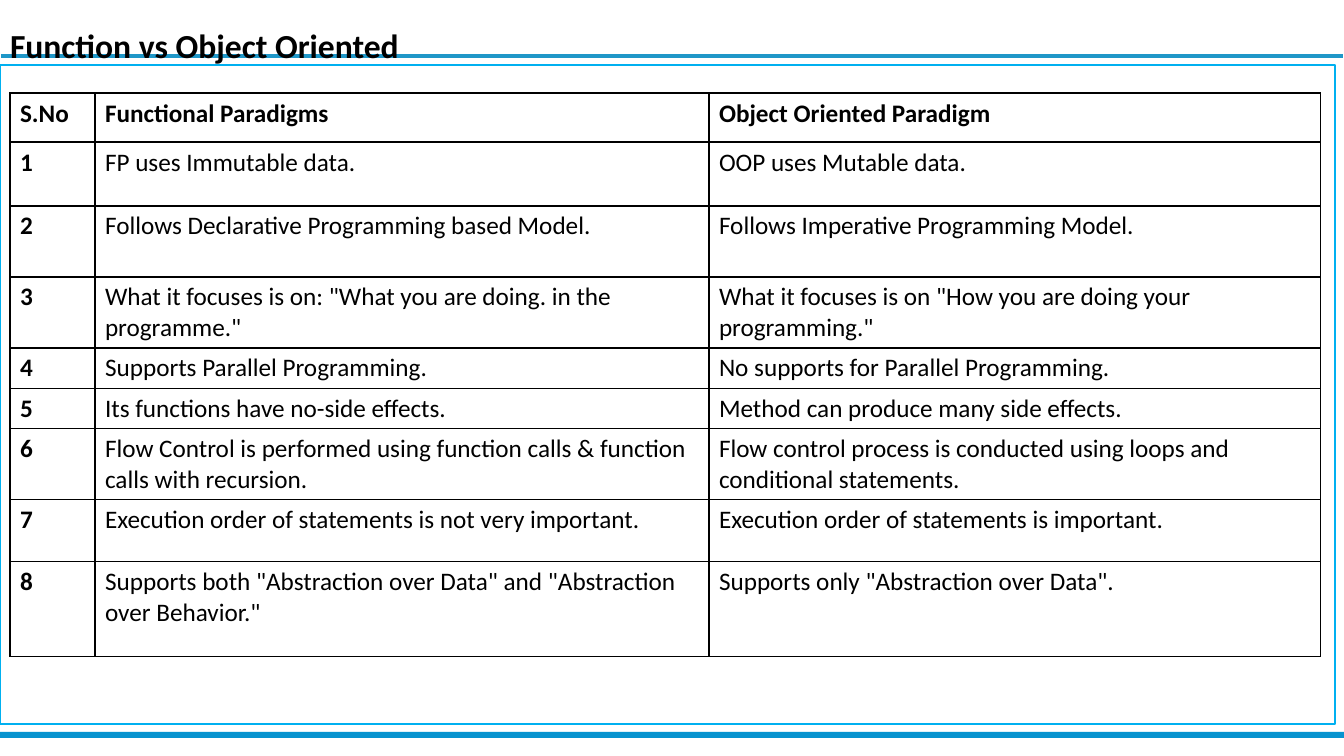
from dataclasses import dataclass

from lxml.etree import SubElement
from pptx import Presentation
from pptx.dml.color import RGBColor
from pptx.enum.shapes import MSO_CONNECTOR, MSO_SHAPE
from pptx.enum.text import MSO_ANCHOR, MSO_AUTO_SIZE, PP_ALIGN
from pptx.oxml.ns import qn
from pptx.util import Pt

EMU_PER_PX = 914400 / 100.8


@dataclass(frozen=True)
class Theme:
    font: str = "Calibri"
    title_size: int = 24
    cell_size: int = 18
    ink: str = "000000"
    paper: str = "FFFFFF"
    rule: str = "1F97C8"
    bar: str = "0793CF"
    frame: str = "00B0F0"


THEME = Theme()

COLUMNS = [85, 614, 612]
ROWS = [49, 64, 71, 71, 40, 40, 71, 62, 95]
HEADER = ("S.No", "Functional Paradigms", "Object Oriented Paradigm")
COMPARISONS = [
    ("FP uses Immutable data.", "OOP uses Mutable data."),
    ("Follows Declarative Programming based Model.",
     "Follows Imperative Programming Model."),
    ('What it focuses is on: "What you are doing. in the programme."',
     'What it focuses is on "How you are doing your programming."'),
    ("Supports Parallel Programming.",
     "No supports for Parallel Programming."),
    ("Its functions have no-side effects.",
     "Method can produce many side effects."),
    ("Flow Control is performed using function calls & function calls with recursion.",
     "Flow control process is conducted using loops and conditional statements."),
    ("Execution order of statements is not very important.",
     "Execution order of statements is important."),
    ('Supports both "Abstraction over Data" and "Abstraction over Behavior."',
     'Supports only "Abstraction over Data".'),
]


def px(n):
    return round(n * EMU_PER_PX)


def rgb(code):
    return RGBColor.from_string(code)


def add_run(p, text, size, bold):
    r = p.add_run()
    r.text = text
    r.font.name = THEME.font
    r.font.size = Pt(size)
    r.font.bold = bold
    r.font.color.rgb = rgb(THEME.ink)


def add_rect(s, x, y, w, h, fill, line=None):
    sp = s.shapes.add_shape(MSO_SHAPE.RECTANGLE, px(x), px(y), px(w), px(h))
    sp.shadow.inherit = False
    sp.fill.solid()
    sp.fill.fore_color.rgb = rgb(fill)
    if line:
        sp.line.color.rgb = rgb(line)
        sp.line.width = Pt(1)
    else:
        sp.line.fill.background()


def add_heading(s, x, y, w, h):
    # Title text
    title = s.shapes.title
    title.left, title.top, title.width, title.height = px(x + 10), px(y + 5), px(w - 19), px(h)
    tf = title.text_frame
    tf.margin_left = tf.margin_right = tf.margin_top = tf.margin_bottom = 0
    tf.vertical_anchor = MSO_ANCHOR.TOP
    tf.auto_size = MSO_AUTO_SIZE.SHAPE_TO_FIT_TEXT
    p = tf.paragraphs[0]
    p.alignment = PP_ALIGN.JUSTIFY
    p.line_spacing = 1.5
    add_run(p, "Function vs Object Oriented", THEME.title_size, True)

    # Rule behind the title
    rule = s.shapes.add_connector(
        MSO_CONNECTOR.STRAIGHT, px(x + 1), px(y + 56), px(x + w - 1), px(y + 56))
    rule.line.color.rgb = rgb(THEME.rule)
    rule.line.width = Pt(2.25)
    SubElement(rule.element.spPr, qn("a:effectLst"))
    title.element.addprevious(rule.element)


def add_borders(cell):
    tcPr = cell._tc.get_or_add_tcPr()
    for i, side in enumerate(("lnL", "lnR", "lnT", "lnB")):
        ln = tcPr.makeelement(qn(f"a:{side}"), {"w": str(Pt(1))})
        fill = SubElement(ln, qn("a:solidFill"))
        SubElement(fill, qn("a:srgbClr"), val=THEME.ink)
        tcPr.insert(i, ln)


def add_comparison(s, x, y):
    rows = [HEADER] + [(str(n), *pair) for n, pair in enumerate(COMPARISONS, 1)]
    table = s.shapes.add_table(
        len(ROWS), len(COLUMNS), px(x), px(y), px(sum(COLUMNS)), px(sum(ROWS))).table
    for column, width in zip(table.columns, COLUMNS):
        column.width = px(width)
    for row, height in zip(table.rows, ROWS):
        row.height = px(height)
    for i, texts in enumerate(rows):
        for j, text in enumerate(texts):
            cell = table.cell(i, j)
            cell.fill.background()
            add_borders(cell)
            add_run(cell.text_frame.paragraphs[0], text, THEME.cell_size, i == 0 or j == 0)


def main():
    prs = Presentation()
    prs.slide_width, prs.slide_height = px(1344), px(756)
    s = prs.slides.add_slide(prs.slide_layouts[5])

    # Heading, footer bar, framed comparison table
    add_heading(s, 0, 0, 1344, 54)
    add_rect(s, 0, 732, 1344, 6, THEME.bar)
    add_rect(s, 0, 65, 1335, 659, THEME.paper, THEME.frame)
    add_comparison(s, 10, 93)
    prs.save("out.pptx")


if __name__ == "__main__":
    main()
